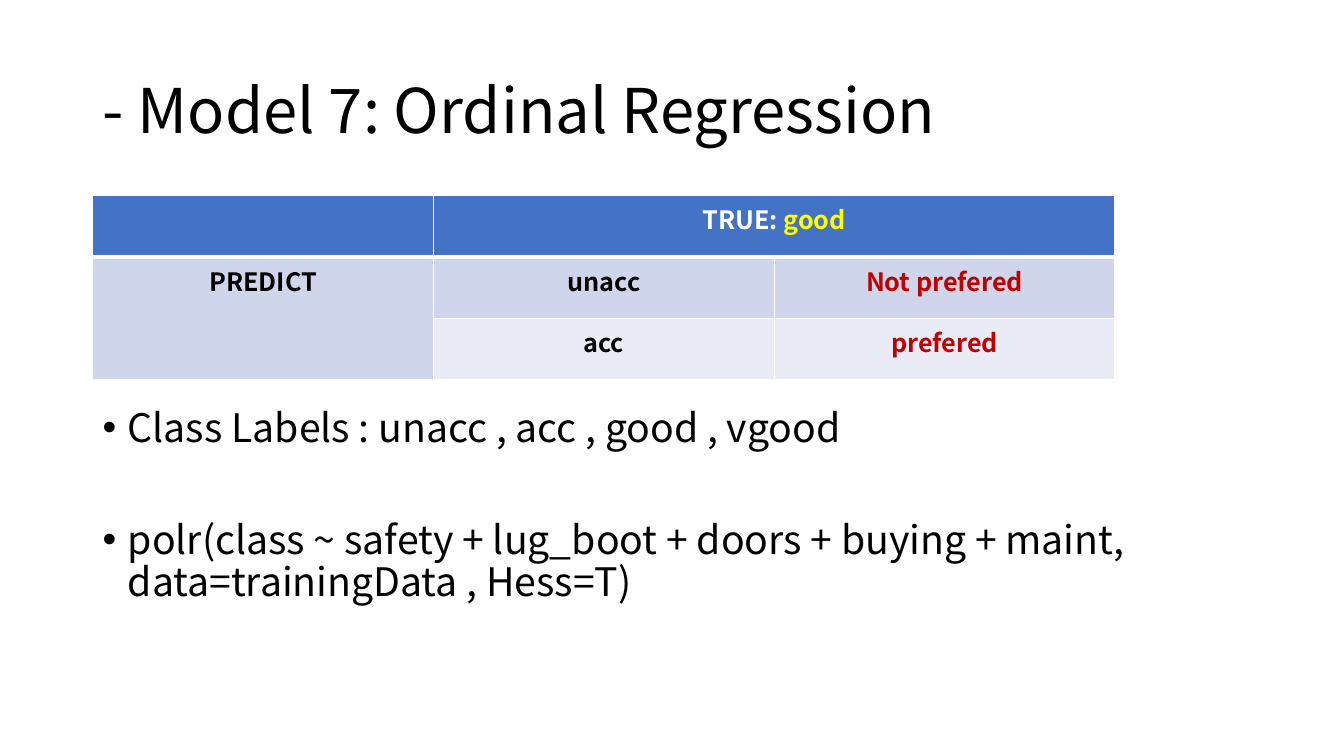
import pptx
import pptx.dml.color
import pptx.enum.text
import pptx.oxml
import pptx.oxml.ns
import pptx.util

RGBColor = pptx.dml.color.RGBColor
BLACK = RGBColor(0x00, 0x00, 0x00)
WHITE = RGBColor(0xFF, 0xFF, 0xFF)
YELLOW = RGBColor(0xFF, 0xFF, 0x00)
RED = RGBColor(0xC0, 0x00, 0x00)
HEADER_BLUE = RGBColor(0x44, 0x72, 0xC4)
BAND_DARK = RGBColor(0xCF, 0xD5, 0xEA)
BAND_LIGHT = RGBColor(0xE9, 0xEB, 0xF5)

FONT = "Noto Sans CJK SC"
COLUMN, ROW = 0.46, 0.2  # grid unit in inches
MIDDLE = pptx.enum.text.MSO_ANCHOR.MIDDLE
CENTER = pptx.enum.text.PP_ALIGN.CENTER


def add_text(para, text, size=18, color=BLACK, bold=False):
    span = para.add_run()
    span.text = text
    span.font.name = FONT
    span.font.size = pptx.util.Pt(size)
    span.font.bold = bold
    span.font.color.rgb = color


class SlideBuilder:
    def __init__(self, page):
        self.page = page

    def columns(self, count):
        return pptx.util.Inches(count * COLUMN)

    def rows(self, count):
        return pptx.util.Inches(count * ROW)

    def area(self, left, top, width, height):
        return self.columns(left), self.rows(top), self.columns(width), self.rows(height)

    def text_frame(self, *area):
        box = self.page.shapes.add_textbox(*self.area(*area))
        box.text_frame.word_wrap = True
        return box.text_frame

    def title(self, text, *area):
        frame = self.text_frame(*area)
        frame.vertical_anchor = MIDDLE
        para = frame.paragraphs[0]
        para.line_spacing = 0.9
        add_text(para, text, size=44)

    def bullets(self, items, gap, *area):
        frame = self.text_frame(*area)
        for index, text in enumerate(items):
            para = frame.add_paragraph() if index else frame.paragraphs[0]
            para.line_spacing = 0.9
            para.space_before = pptx.util.Pt(gap if index else 10)
            add_text(para, text, size=28)
            # Hanging bullet
            properties = para._p.get_or_add_pPr()
            properties.set("marL", str(pptx.util.Inches(0.25)))
            properties.set("indent", str(pptx.util.Inches(-0.25)))
            namespace = pptx.oxml.ns.nsdecls("a")
            properties.append(pptx.oxml.parse_xml(f'<a:buFont {namespace} typeface="Arial"/>'))
            properties.append(pptx.oxml.parse_xml(f'<a:buChar {namespace} char="•"/>'))

    def borders(self, cell, top=1, bottom=1):
        properties = cell._tc.get_or_add_tcPr()
        for side, width in (("L", 1), ("R", 1), ("T", top), ("B", bottom)):
            properties.append(pptx.oxml.parse_xml(
                f'<a:ln{side} {pptx.oxml.ns.nsdecls("a")} w="{pptx.util.Pt(width)}">'
                f'<a:solidFill><a:srgbClr val="{WHITE}"/></a:solidFill></a:ln{side}>'))

    def table(self, content, fills, merges, *area):
        count = len(content[0])
        table = self.page.shapes.add_table(len(content), count, *self.area(*area)).table
        for row, (texts, fill) in enumerate(zip(content, fills)):
            for column, spans in enumerate(texts):
                cell = table.cell(row, column)
                # The rule under the header is heavier
                self.borders(cell, top=3 if row == 1 else 1, bottom=3 if row == 0 else 1)
                cell.fill.solid()
                cell.fill.fore_color.rgb = fill
                para = cell.text_frame.paragraphs[0]
                para.alignment = CENTER
                for text, color in spans:
                    add_text(para, text, color=color, bold=True)
        for first, last in merges:
            table.cell(*first).merge(table.cell(*last))


def main():
    deck = pptx.Presentation()
    deck.slide_width = pptx.util.Inches(13.33)
    deck.slide_height = pptx.util.Inches(7.5)
    builder = SlideBuilder(deck.slides.add_slide(deck.slide_layouts[6]))

    # Title
    builder.title("- Model 7: Ordinal Regression", 2, 2, 25, 7.25)

    # Class labels and model call
    builder.bullets([
        "Class Labels : unacc , acc , good , vgood",
        "polr(class ~ safety + lug_boot + doors + buying + maint, data=trainingData , Hess=T)",
    ], 50, 2, 20, 25, 13.8)

    # Prediction table
    builder.table(
        [
            [[], [("TRUE: ", WHITE), ("good", YELLOW)], []],
            [[("PREDICT", BLACK)], [("unacc", BLACK)], [("Not prefered", RED)]],
            [[], [("acc", BLACK)], [("prefered", RED)]],
        ],
        [HEADER_BLUE, BAND_DARK, BAND_LIGHT],
        [((0, 1), (0, 2)), ((1, 0), (2, 0))],
        2, 9.7, 22.04, 9.15)

    deck.save("out.pptx")


if __name__ == "__main__":
    main()
